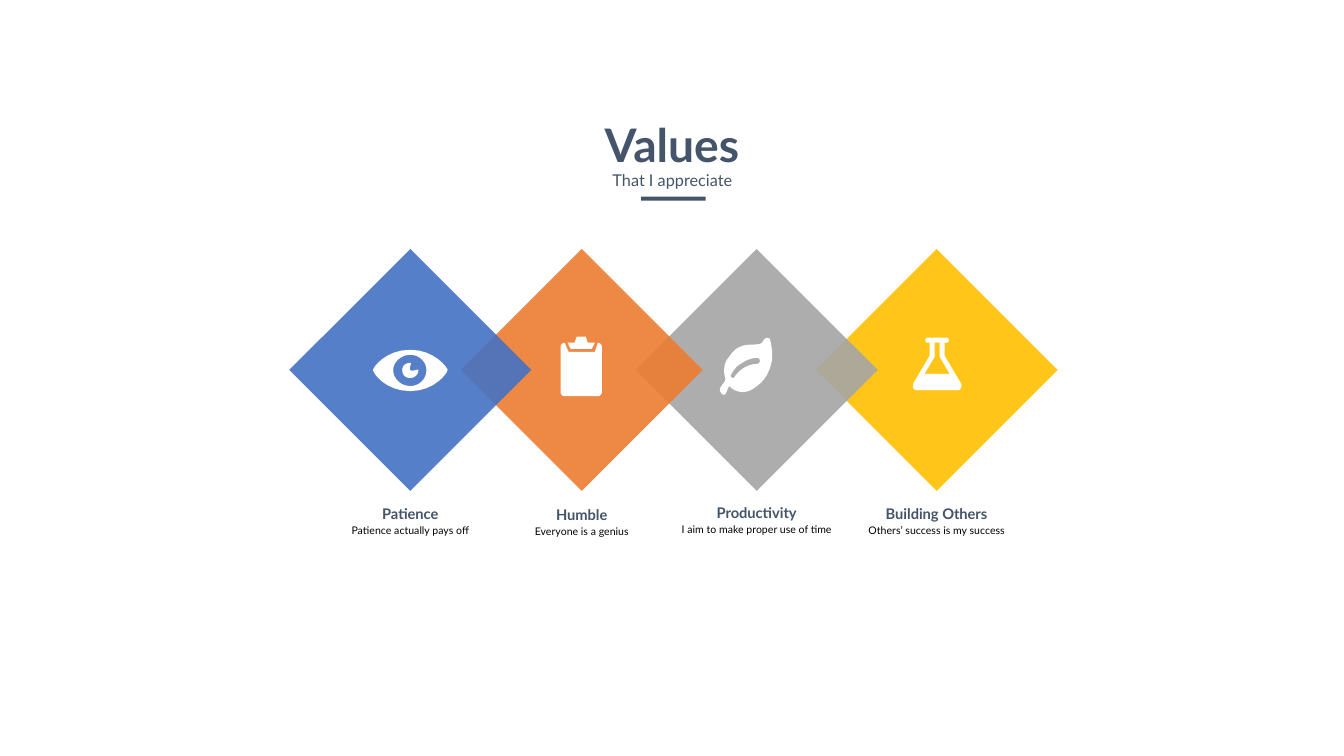
"""Build the Values slide: four overlapping diamonds with icons and captions."""
from lxml.etree import SubElement
from pptx import Presentation
from pptx.dml.color import RGBColor
from pptx.enum.shapes import MSO_SHAPE as Preset
from pptx.enum.text import MSO_ANCHOR as Anchor, MSO_AUTO_SIZE as AutoSize, PP_ALIGN as Align
from pptx.oxml.ns import qn
from pptx.util import Inches, Pt

FONT = "Lato"
SLATE = RGBColor(0x44, 0x54, 0x6A)
BLACK = RGBColor(0, 0, 0)
WHITE = RGBColor(0xFF, 0xFF, 0xFF)
BLUE = RGBColor(0x44, 0x72, 0xC4)
ORANGE = RGBColor(0xED, 0x7D, 0x31)
GRAY = RGBColor(0xA5, 0xA5, 0xA5)
YELLOW = RGBColor(0xFF, 0xC0, 0x00)

CELL = Inches(0.01)
MIDDLE_ROW = 367
DIAMOND = 240
CURVE_STEPS = 8

EYE = [
    [(0, -20), (-25, -20, -37, -2, -37, 0), (-37, 3, -25, 21, 0, 21),
     (24, 21, 37, 3, 37, 0), (37, -2, 24, -20, 0, -20)],
    [(0, 16), (-9, 16, -17, 9, -17, 0), (-17, -8, -9, -15, 0, -15),
     (9, -15, 16, -8, 16, 0), (16, 9, 9, 16, 0, 16)],
    [(8, 0), (8, 5, 4, 8, 0, 8), (-5, 8, -8, 5, -8, 0), (-8, -4, -5, -7, 0, -7),
     (2, -7, -2, -1, 0, 0), (1, 2, 8, -1, 8, 0)],
]
CLIPBOARD = [
    [(16, -27), (13, -18), (-13, -18), (-17, -27), (-19, -27, -21, -25, -21, -23),
     (-21, 22), (-21, 24, -19, 26, -17, 26), (16, 26), (18, 26, 20, 24, 20, 22),
     (20, -23), (20, -25, 18, -27, 16, -27)],
    [(10, -21), (13, -27), (6, -27), (4, -33), (-5, -33), (-7, -27), (-14, -27), (-11, -21)],
]
LEAF = [
    [(13, -31), (15, -24, 16, -16, 15, -9), (13, 2, 8, 11, -1, 17),
     (-5, 20, -9, 22, -14, 22), (-18, 22, -24, 20, -27, 16), (-29, 18, -29, 21, -31, 24),
     (-32, 25, -34, 25, -35, 23), (-37, 21, -37, 19, -35, 16), (-34, 14, -31, 12, -31, 9),
     (-33, 3, -33, -7, -28, -12), (-26, -15, -21, -22, -16, -23),
     (-9, -27, 4, -23, 6, -28), (8, -31, 9, -33, 13, -31)],
    [(1, -6), (4, -7, 4, -11, 1, -12), (-7, -12, -13, -8, -19, -4),
     (-21, -2, -25, 3, -26, 6), (-25, 8, -23, 9, -22, 7), (-18, 1, -10, -6, 1, -6)],
]
FLASK = [
    [(24, 13), (25, 15, 25, 16, 24, 18), (23, 20, 22, 20, 20, 20), (-19, 20),
     (-21, 20, -22, 20, -23, 18), (-24, 16, -23, 15, -23, 13), (-7, -14), (-7, -27),
     (-9, -27), (-12, -27, -12, -32, -9, -32), (10, -32), (13, -32, 13, -27, 10, -27),
     (8, -27), (8, -14)],
    [(-12, 4), (13, 4), (3, -13), (3, -27), (-2, -27), (-2, -13)],
]
VALUES = [
    (407, 501, BLUE, EYE, "Patience", "Patience actually pays off"),
    (577, 502, ORANGE, CLIPBOARD, "Humble", "Everyone is a genius"),
    (750.5, 500, GRAY, LEAF, "Productivity", "I aim to make proper use of time"),
    (929, 501, YELLOW, FLASK, "Building Others", "Others’ success is my success"),
]


def trace(contour, center):
    """Return a contour's points on the slide, with its curves flattened."""
    points = [contour[0]]
    for segment in contour[1:]:
        if len(segment) == 2:
            points.append(segment)
            continue
        nodes = list(zip((*points[-1], *segment)[::2], (*points[-1], *segment)[1::2]))
        for step in range(1, CURVE_STEPS + 1):
            t = step / CURVE_STEPS
            weights = ((1 - t) ** 3, 3 * t * (1 - t) ** 2, 3 * t * t * (1 - t), t ** 3)
            points.append(tuple(sum(w * node[axis] for w, node in zip(weights, nodes))
                                for axis in (0, 1)))
    return [((center + x) * CELL, (MIDDLE_ROW + y) * CELL) for x, y in points]


def write(shape, text, size, color, bold=False, margins=(0, 0)):
    """Put one centred run into a shape and return its paragraph."""
    frame = shape.text_frame
    frame.word_wrap = True
    frame.auto_size = AutoSize.NONE
    frame.vertical_anchor = Anchor.TOP
    frame.margin_left = frame.margin_right = margins[0] * CELL
    frame.margin_top = frame.margin_bottom = margins[1] * CELL
    paragraph = frame.paragraphs[0]
    paragraph.alignment = Align.CENTER
    run = paragraph.add_run()
    run.text = text
    run.font.name, run.font.size, run.font.bold = FONT, Pt(size), bold
    run.font.color.rgb = color
    return paragraph


presentation = Presentation()
presentation.slide_width, presentation.slide_height = Inches(13.33), Inches(7.5)
slide = presentation.slides.add_slide(presentation.slide_layouts[5])
shapes = slide.shapes
painted = []

for center, label_row, color, icon, label, caption in reversed(VALUES):
    corner = (center - DIAMOND / 2, MIDDLE_ROW - DIAMOND / 2)
    diamond = shapes.add_shape(
        Preset.DIAMOND, *(int(cells * CELL) for cells in (*corner, DIAMOND, DIAMOND)))
    painted.append((diamond, color, 90))

for center, label_row, color, icon, label, caption in VALUES:
    contours = [trace(contour, center) for contour in icon]
    builder = shapes.build_freeform(*contours[0][0])
    builder.add_line_segments(contours[0][1:])
    for contour in contours[1:]:
        builder.move_to(*contour[0])
        builder.add_line_segments(contour[1:])
    painted.append((builder.convert_to_shape(), WHITE, 100))

    for text, row, width, height, size, ink, bold in (
            (label, label_row, 146, 15, 10.5, SLATE, True),
            (caption, label_row + 19, 157, 11, 7.5, BLACK, False)):
        box = shapes.add_textbox(
            *(int(cells * CELL) for cells in (center - width / 2, row, width, height)))
        write(box, text, size, ink, bold).space_before = Pt(6.4)

title = shapes.title
title.left, title.top, title.width, title.height = (
    cells * CELL for cells in (413, 113, 507, 59))
write(title, "Values", 33, SLATE, True, (4, 2))

underline = shapes.add_shape(Preset.RECTANGLE, *(cells * CELL for cells in (636, 195, 64, 4)))
painted.append((underline, SLATE, 100))

subtitle = shapes.add_textbox(*(cells * CELL for cells in (428, 161, 478, 34)))
subtitle_paragraph = write(subtitle, "That I appreciate", 11.6, SLATE, margins=(9, 4))
subtitle_paragraph.line_spacing = 1.2
subtitle_paragraph.space_before = Pt(2.3)

for shape, color, opacity in painted:
    shape.shadow.inherit = False
    shape.line.fill.background()
    shape.fill.solid()
    shape.fill.fore_color.rgb = color
    if opacity < 100:
        fill_color = next(shape.element.iter(qn("a:srgbClr")))
        SubElement(fill_color, qn("a:alpha")).set("val", str(opacity * 1000))

presentation.save("out.pptx")
